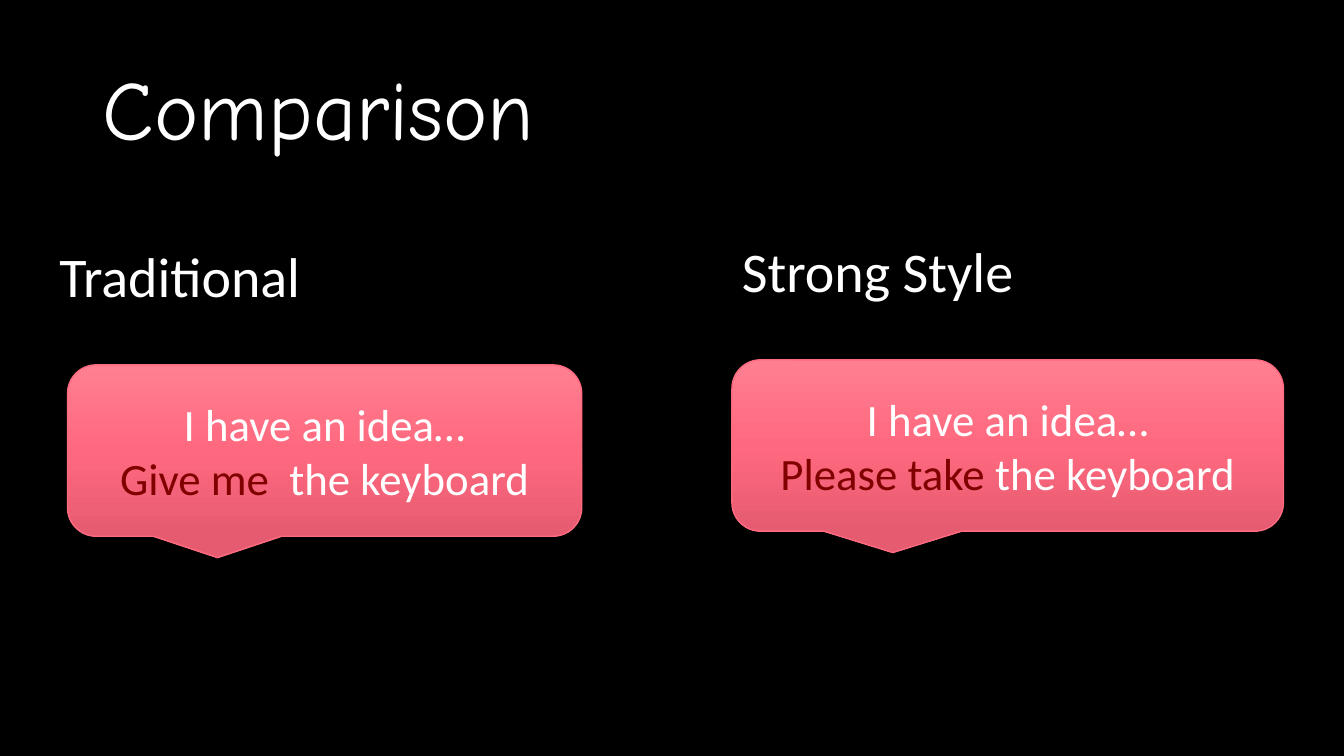
from copy import deepcopy

from pptx import Presentation
from pptx.dml.color import RGBColor
from pptx.enum.shapes import MSO_SHAPE
from pptx.enum.text import MSO_ANCHOR, PP_ALIGN
from pptx.oxml.ns import qn
from pptx.util import Inches, Pt

COLORS = {
    "background": "000000",
    "text": "FFFFFF",
    "emphasis": "800000",
    "outline": "FE6A80",
    "fill_top": "FF7F91",
    "fill_middle": "FF697F",
    "fill_bottom": "E55B70",
}
TITLE_FONT = "Comic Neue"
BODY_FONT = "Calibri"


def rgb(name):
    return RGBColor.from_string(COLORS[name])


def add_run(p, text, size, font=BODY_FONT, color="text"):
    r = p.add_run()
    r.text = text
    r.font.size = Pt(size)
    r.font.name = font
    r.font.color.rgb = rgb(color)


def place_title(s, text, left, top, width, height):
    sp = s.shapes.title
    sp.left, sp.top = Inches(left), Inches(top)
    sp.width, sp.height = Inches(width), Inches(height)
    tf = sp.text_frame
    tf.vertical_anchor = MSO_ANCHOR.MIDDLE
    p = tf.paragraphs[0]
    p.alignment = PP_ALIGN.LEFT
    p.line_spacing = 0.9
    add_run(p, text, 60, TITLE_FONT)


def add_heading(s, text, left, top, width, height):
    sp = s.shapes.add_textbox(Inches(left), Inches(top), Inches(width), Inches(height))
    tf = sp.text_frame
    tf.word_wrap = True
    p = tf.paragraphs[0]
    p.line_spacing = 0.9
    add_run(p, text, 40)


def fill_with_gradient(sp):
    """Shade the shape from top to bottom in three evenly spaced stops."""
    fill = sp.fill
    fill.gradient()
    fill.gradient_angle = 270
    stops = sp._element.spPr.find(qn("a:gradFill")).find(qn("a:gsLst"))
    stops.insert(1, deepcopy(stops[0]))
    names = ("fill_top", "fill_middle", "fill_bottom")
    for i, (stop, name) in enumerate(zip(fill.gradient_stops, names)):
        stop.position = i / 2
        stop.color.rgb = rgb(name)


def add_callout(s, request, left, top, width, height):
    sp = s.shapes.add_shape(MSO_SHAPE.ROUNDED_RECTANGULAR_CALLOUT,
                            Inches(left), Inches(top), Inches(width), Inches(height))
    sp.shadow.inherit = False
    fill_with_gradient(sp)
    sp.line.color.rgb = rgb("outline")
    sp.line.width = Pt(1)
    tf = sp.text_frame
    tf.word_wrap = True
    tf.vertical_anchor = MSO_ANCHOR.MIDDLE
    lines = (
        [("I have an idea…", "text")],
        [(request, "emphasis"), ("the keyboard", "text")],
    )
    for i, line in enumerate(lines):
        p = tf.add_paragraph() if i else tf.paragraphs[0]
        p.alignment = PP_ALIGN.CENTER
        for text, color in line:
            add_run(p, text, 32, color=color)


def add_column(s, heading, request, left, top, indent, callout_width):
    """Place a heading with its speech callout 1.2 inches below the column's top."""
    add_heading(s, heading, left, top, 5.89, 3.53)
    add_callout(s, request, left + indent, top + 1.2, callout_width, 1.7)


def main():
    prs = Presentation()
    prs.slide_width, prs.slide_height = Inches(13.33), Inches(7.5)
    s = prs.slides.add_slide(prs.slide_layouts[5])
    s.background.fill.solid()
    s.background.fill.fore_color.rgb = rgb("background")

    place_title(s, "Comparison", 0.92, 0.4, 11.5, 1.45)
    add_column(s, "Traditional", "Give me  ", 0.49, 2.42, 0.18, 5.1)
    add_column(s, "Strong Style", "Please take ", 7.26, 2.37, 0, 5.47)
    prs.save("out.pptx")


if __name__ == "__main__":
    main()
